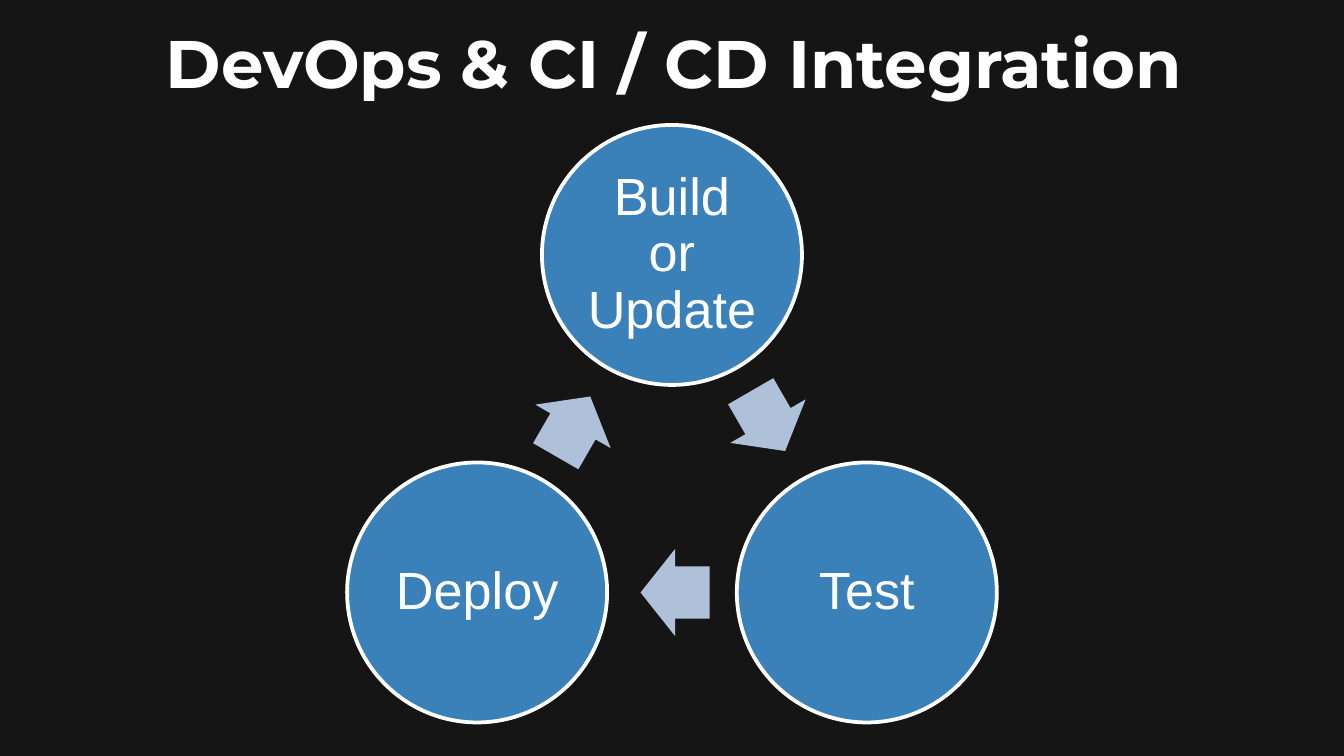
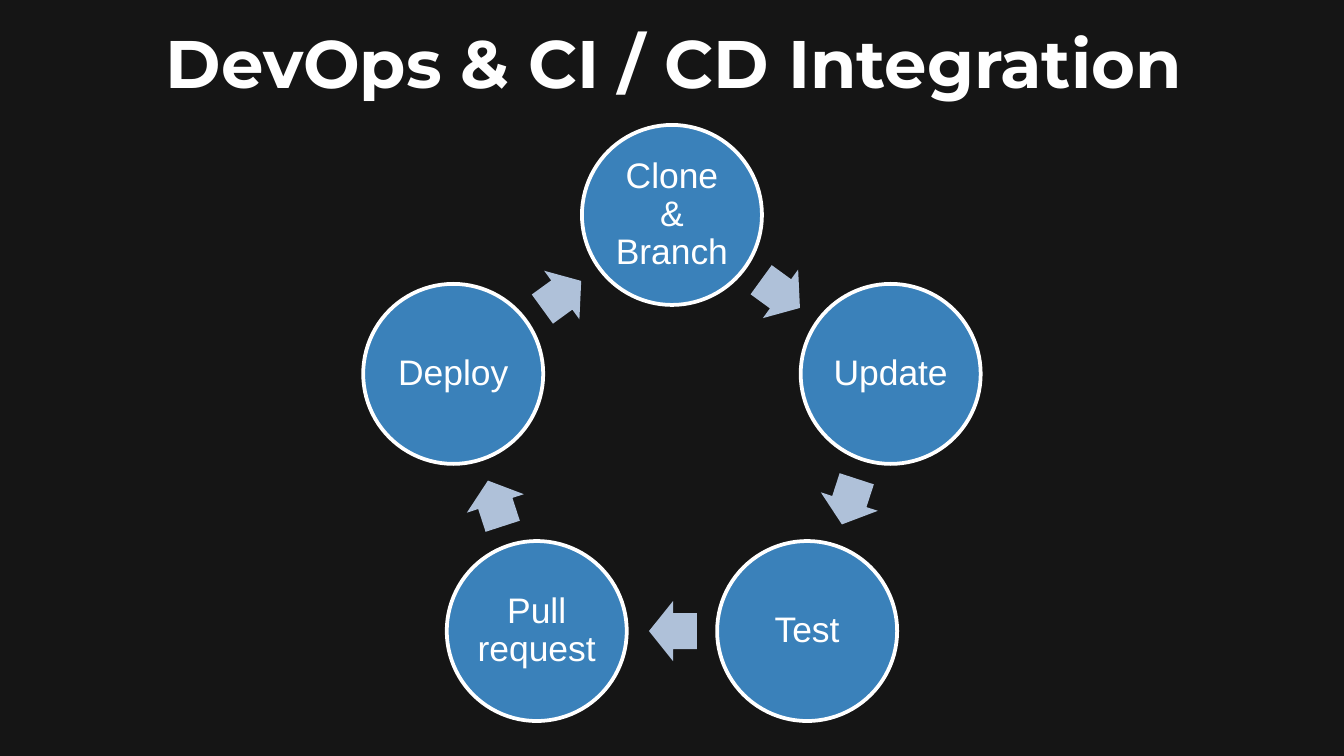
from math import cos, radians, sin

from pptx import Presentation
from pptx.dml.color import RGBColor
from pptx.enum.shapes import MSO_SHAPE
from pptx.enum.text import MSO_ANCHOR, PP_ALIGN
from pptx.util import Emu, Pt

ELLIPSE, ARROW = MSO_SHAPE.OVAL, MSO_SHAPE.RIGHT_ARROW
MIDDLE, CENTER = MSO_ANCHOR.MIDDLE, PP_ALIGN.CENTER

TITLE = "DevOps & CI / CD Integration"
CYCLES = [
    {"steps": ["Build or Update", "Test", "Deploy"],
     "center_y": 480, "radius": 225, "circle": 260, "arrow": (69, 87),
     "setback": 3, "font_size": 28, "inset": 5},
    {"steps": ["Clone & Branch", "Update", "Test", "Pull request", "Deploy"],
     "center_y": 445, "radius": 230, "circle": 180, "arrow": (48, 60),
     "setback": 1, "font_size": 19, "inset": 3},
]

BACKGROUND, WHITE = "151515", "FFFFFF"
CIRCLE_BLUE, ARROW_BLUE = "3A81BA", "AFC1D9"
WIDTH, HEIGHT = 1344, 756
TITLE_BOX = (2, -1, 1344, 126)


def px(length):
    return Emu(round(length * 914400 / 134.4))


def paint(fill, color):
    fill.solid()
    fill.fore_color.rgb = RGBColor.from_string(color)


def write(shape, text, font_name, size, inset, bold=False):
    frame = shape.text_frame
    frame.word_wrap = True
    frame.vertical_anchor = MIDDLE
    frame.margin_left = frame.margin_right = px(inset)
    frame.margin_top = frame.margin_bottom = px(inset)
    frame.text = text
    para = frame.paragraphs[0]
    para.alignment = CENTER
    para.font.name, para.font.size, para.font.bold = font_name, Pt(size), bold
    para.font.color.rgb = RGBColor.from_string(WHITE)
    return para


def add_centered(group, kind, center, size, color):
    """Add a flat, filled preset shape around a center point."""
    (x, y), (width, height) = center, size
    shape = group.shapes.add_shape(
        kind, px(x - width / 2), px(y - height / 2), px(width), px(height))
    shape.shadow.inherit = False
    paint(shape.fill, color)
    return shape


def add_cycle(page, cycle):
    steps, radius = cycle["steps"], cycle["radius"]
    turn = 360 / len(steps)
    # Each arrow sits halfway along the chord to the next circle.
    chord_distance = radius * cos(radians(turn / 2))
    group = page.shapes.add_group_shape()

    def point(angle, distance):
        """Point at a clockwise angle from the top of the ring."""
        return (WIDTH / 2 + distance * sin(radians(angle)),
                cycle["center_y"] - distance * cos(radians(angle)))

    for index, step in enumerate(steps):
        angle = index * turn
        circle = add_centered(group, ELLIPSE, point(angle, radius),
                              (cycle["circle"], cycle["circle"]), CIRCLE_BLUE)
        paint(circle.line.fill, WHITE)
        circle.line.width = Pt(2)
        para = write(circle, step, "Arial", cycle["font_size"], cycle["inset"])
        para.line_spacing = 0.9

        heading = angle + turn / 2
        x, y = point(heading, chord_distance)
        center = (x - cycle["setback"] * cos(radians(heading)),
                  y - cycle["setback"] * sin(radians(heading)))
        arrow = add_centered(group, ARROW, center, cycle["arrow"], ARROW_BLUE)
        arrow.line.fill.background()
        arrow.rotation = heading
        arrow.adjustments[0], arrow.adjustments[1] = 0.6, 0.5


def main():
    deck = Presentation()
    deck.slide_width, deck.slide_height = px(WIDTH), px(HEIGHT)
    paint(deck.slide_master.background.fill, BACKGROUND)
    title_only = deck.slide_layouts[5]
    for cycle in CYCLES:
        page = deck.slides.add_slide(title_only)
        title = page.shapes.title
        title.left, title.top, title.width, title.height = map(px, TITLE_BOX)
        write(title, TITLE, "Montserrat", 36, 13, bold=True)
        add_cycle(page, cycle)
    deck.save("out.pptx")


if __name__ == "__main__":
    main()
